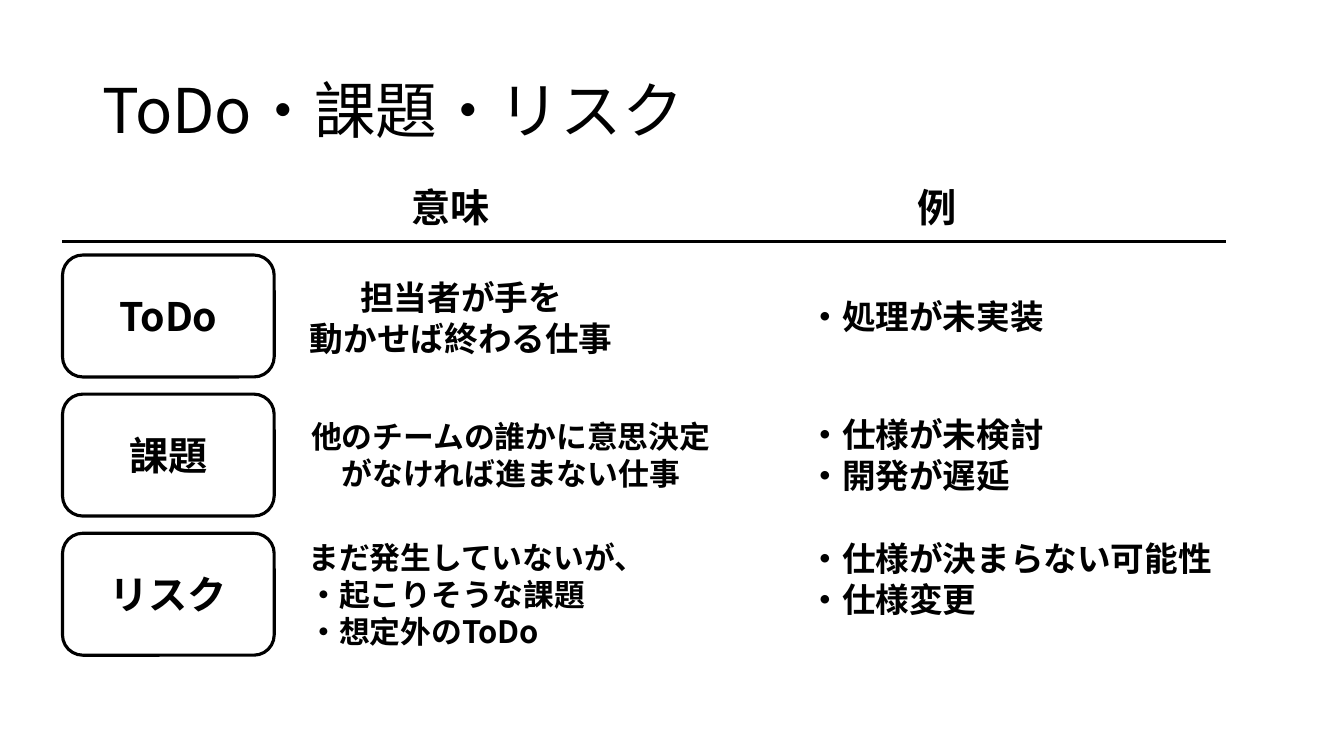
from pptx import Presentation
from pptx.dml.color import RGBColor
from pptx.enum.shapes import MSO_CONNECTOR, MSO_SHAPE
from pptx.enum.text import MSO_ANCHOR, PP_ALIGN
from pptx.oxml.ns import qn
from pptx.util import Inches, Pt
from lxml import etree

BLACK = RGBColor(0, 0, 0)
FONT = "Noto Sans CJK JP"
LEFT, CENTER = PP_ALIGN.LEFT, PP_ALIGN.CENTER
MIDDLE, TOP = MSO_ANCHOR.MIDDLE, MSO_ANCHOR.TOP
ROUNDED = MSO_SHAPE.ROUNDED_RECTANGLE
STRAIGHT = MSO_CONNECTOR.STRAIGHT

CATEGORY_LEFT, CATEGORY_TOP, CATEGORY_PITCH = 0.62, 2.53, 1.38
CATEGORY_WIDTH, CATEGORY_HEIGHT = 2.1, 1.21
MEANING_LEFT, EXAMPLE_LEFT = 2.96, 7.92
HEADER_TOP, RULE_Y, RULE_RIGHT = 1.77, 2.4, 12.16

HEADERS = [("意味", 3.97, 0.99), ("例", 9, 0.59)]
CATEGORIES = ["ToDo", "課題", "リスク"]
MEANINGS = [
    ("担当者が手を\n動かせば終わる仕事", 2.7, 3.23, 0.91, 24, CENTER),
    ("他のチームの誰かに意思決定\nがなければ進まない仕事", 4.1, 4.21, 0.84, 22, CENTER),
    ("まだ発生していないが、\n・起こりそうな課題\n・想定外のToDo", 5.3, 3.6, 1.21, 22, LEFT),
]
EXAMPLES = [
    ("・処理が未実装", 2.89, 2.56, 0.5),
    ("・仕様が未検討\n・開発が遅延", 4.06, 2.56, 0.91),
    ("・仕様が決まらない可能性\n・仕様変更", 5.29, 4.24, 0.91),
]


def write_text(frame, text, size=24, bold=True, align=LEFT, anchor=TOP, wrap=False, spacing=None):
    """Fill a text frame with one formatted paragraph per line."""
    frame.text = text
    frame.word_wrap = wrap
    frame.vertical_anchor = anchor
    for paragraph in frame.paragraphs:
        paragraph.alignment = align
        paragraph.line_spacing = spacing
        for run in paragraph.runs:
            run.font.size = Pt(size)
            run.font.bold = bold
            run.font.name = FONT
            run.font.color.rgb = BLACK
            east_asian = etree.SubElement(run.font._element, qn("a:ea"))
            east_asian.set("typeface", FONT)


def add_title(slide, text):
    """Place the slide title in the template's placeholder."""
    title = slide.shapes.title
    title.left, title.top = Inches(0.92), Inches(0.4)
    title.width, title.height = Inches(11.5), Inches(1.45)
    write_text(title.text_frame, text, size=44, bold=False, anchor=MIDDLE, wrap=True, spacing=0.9)


def add_label(slide, text, left, top, width, height, **text_format):
    """Add a text box that keeps its own line breaks."""
    label = slide.shapes.add_textbox(Inches(left), Inches(top), Inches(width), Inches(height))
    write_text(label.text_frame, text, **text_format)


def add_category(slide, text, top):
    """Add an outlined rounded box naming one row."""
    category = slide.shapes.add_shape(
        ROUNDED, Inches(CATEGORY_LEFT), Inches(top), Inches(CATEGORY_WIDTH), Inches(CATEGORY_HEIGHT))
    category.shadow.inherit = False
    category.fill.background()
    category.line.color.rgb = BLACK
    category.line.width = Pt(2.25)
    write_text(category.text_frame, text, size=28, align=CENTER, anchor=MIDDLE, wrap=True)


def add_header_rule(slide):
    """Draw the line below the column headers."""
    rule = slide.shapes.add_connector(
        STRAIGHT, Inches(CATEGORY_LEFT), Inches(RULE_Y), Inches(RULE_RIGHT), Inches(RULE_Y))
    rule.line.color.rgb = BLACK
    rule.line.width = Pt(2.25)
    etree.SubElement(rule._element.spPr, qn("a:effectLst"))


def main():
    """Build the slide and save it."""
    deck = Presentation()
    deck.slide_width, deck.slide_height = Inches(13.33), Inches(7.5)
    slide = deck.slides.add_slide(deck.slide_layouts[5])
    add_title(slide, "ToDo・課題・リスク")
    for row, category in enumerate(CATEGORIES):
        add_category(slide, category, CATEGORY_TOP + row * CATEGORY_PITCH)
    add_header_rule(slide)
    for text, left, width in HEADERS:
        add_label(slide, text, left, HEADER_TOP, width, 0.57, size=28, align=CENTER)
    for text, top, width, height, size, align in MEANINGS:
        add_label(slide, text, MEANING_LEFT, top, width, height, size=size, align=align)
    for text, top, width, height in EXAMPLES:
        add_label(slide, text, EXAMPLE_LEFT, top, width, height)
    deck.save("out.pptx")


if __name__ == "__main__":
    main()
